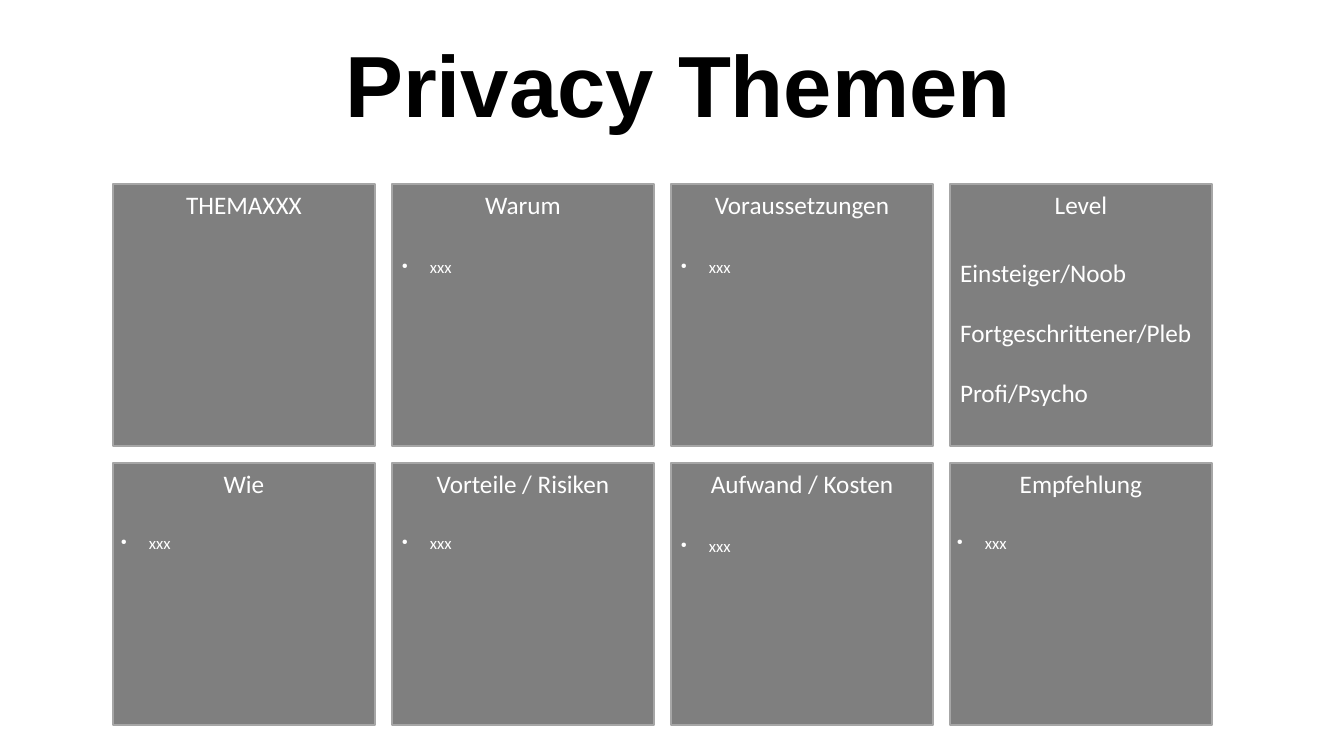
"""Builds the "Privacy Themen" slide with its grid of eight topic cards."""
from lxml import etree
from pptx import Presentation
from pptx.dml.color import RGBColor
from pptx.enum.shapes import MSO_SHAPE
from pptx.enum.text import MSO_ANCHOR, MSO_AUTO_SIZE, PP_ALIGN
from pptx.oxml.ns import qn
from pptx.util import Pt

RECT = MSO_SHAPE.RECTANGLE
TOP, MIDDLE = MSO_ANCHOR.TOP, MSO_ANCHOR.MIDDLE
LEFT, CENTER = PP_ALIGN.LEFT, PP_ALIGN.CENTER
NO_FIT = MSO_AUTO_SIZE.NONE

BLACK = RGBColor(0x00, 0x00, 0x00)
WHITE = RGBColor(0xFF, 0xFF, 0xFF)
GREY = RGBColor(0x7F, 0x7F, 0x7F)
LIGHT_GREY = RGBColor(0xA6, 0xA6, 0xA6)

EMU_PER_PX = 914400 / 100.8
WIDTH, HEIGHT = 1344, 756
GRID_LEFT, GRID_TOP, PITCH, CARD = 113, 184, 279, 262
COLUMNS = 4
BODY_HEIGHT = 194
HANGING = 28

CARDS = [
    ("THEMAXXX", None),
    ("Warum", (0, 68)),
    ("Voraussetzungen", (0, 68)),
    ("Level", None),
    ("Wie", (-2, 65)),
    ("Vorteile / Risiken", (0, 65)),
    ("Aufwand / Kosten", (0, 68)),
    ("Empfehlung", (-3, 65)),
]
LEVELS = ["Einsteiger/Noob", "Fortgeschrittener/Pleb", "Profi/Psycho"]


def px(n):
    return round(n * EMU_PER_PX)


class Deck:
    def __init__(self):
        self.prs = Presentation()
        self.prs.slide_width, self.prs.slide_height = px(WIDTH), px(HEIGHT)
        self.s = self.prs.slides.add_slide(self.prs.slide_layouts[1])
        self.font, self.title_font = "Calibri", "Arial"

    def place(self, sp, x, y, w, h):
        sp.left, sp.top, sp.width, sp.height = px(x), px(y), px(w), px(h)

    def frame(self, sp, anchor=TOP):
        tf = sp.text_frame
        tf.word_wrap = True
        tf.auto_size = NO_FIT
        tf.vertical_anchor = anchor
        return tf

    def run(self, p, text, size, font=None, color=WHITE, bold=False):
        r = p.add_run()
        r.text = text
        r.font.name = font or self.font
        r.font.size = Pt(size)
        r.font.bold = bold
        r.font.color.rgb = color

    def title(self, text, x, y, w, h):
        sp = self.s.shapes.title
        self.place(sp, x, y, w, h)
        p = self.frame(sp, MIDDLE).paragraphs[0]
        p.alignment = CENTER
        self.run(p, text, 62, self.title_font, BLACK, True)

    def card(self, text, x, y):
        sp = self.s.shapes.add_shape(RECT, px(x), px(y), px(CARD), px(CARD))
        sp.shadow.inherit = False
        sp.fill.solid()
        sp.fill.fore_color.rgb = GREY
        sp.line.color.rgb = LIGHT_GREY
        sp.line.width = Pt(1)
        p = self.frame(sp).paragraphs[0]
        p.alignment = CENTER
        self.run(p, text, 18)

    def bullet(self, text, x, y):
        sp = self.s.shapes.add_textbox(px(x), px(y), px(CARD), px(BODY_HEIGHT))
        p = self.frame(sp).paragraphs[0]
        pPr = p._p.get_or_add_pPr()
        pPr.set("marL", str(px(HANGING)))
        pPr.set("indent", str(-px(HANGING)))
        clr = etree.SubElement(pPr, qn("a:buClr"))
        etree.SubElement(clr, qn("a:srgbClr")).set("val", str(WHITE))
        etree.SubElement(pPr, qn("a:buSzPct")).set("val", "45000")
        etree.SubElement(pPr, qn("a:buChar")).set("char", "●")
        self.run(p, text, 12)

    def levels(self, lines, x, y):
        sp = self.s.placeholders[1]
        self.place(sp, x, y, CARD, BODY_HEIGHT)
        self.s.shapes.element.append(sp.element)
        tf = self.frame(sp)
        for i, line in enumerate(lines):
            p = tf.add_paragraph() if i else tf.paragraphs[0]
            pPr = p._p.get_or_add_pPr()
            pPr.set("marL", "0")
            pPr.set("indent", "0")
            etree.SubElement(pPr, qn("a:buNone"))
            p.alignment = LEFT
            p.space_before = Pt(21.5 if i else 0)
            self.run(p, line, 18)


def main():
    deck = Deck()
    deck.title("Privacy Themen", 260, 19, 837, 127)
    for i, (heading, offset) in enumerate(CARDS):
        row, column = divmod(i, COLUMNS)
        x, y = GRID_LEFT + column * PITCH, GRID_TOP + row * PITCH
        deck.card(heading, x, y)
        if offset:
            dx, dy = offset
            deck.bullet("xxx", x + dx, y + dy)
    deck.levels(LEVELS, GRID_LEFT + 3 * PITCH, GRID_TOP + 68)
    deck.prs.save("out.pptx")


if __name__ == "__main__":
    main()
